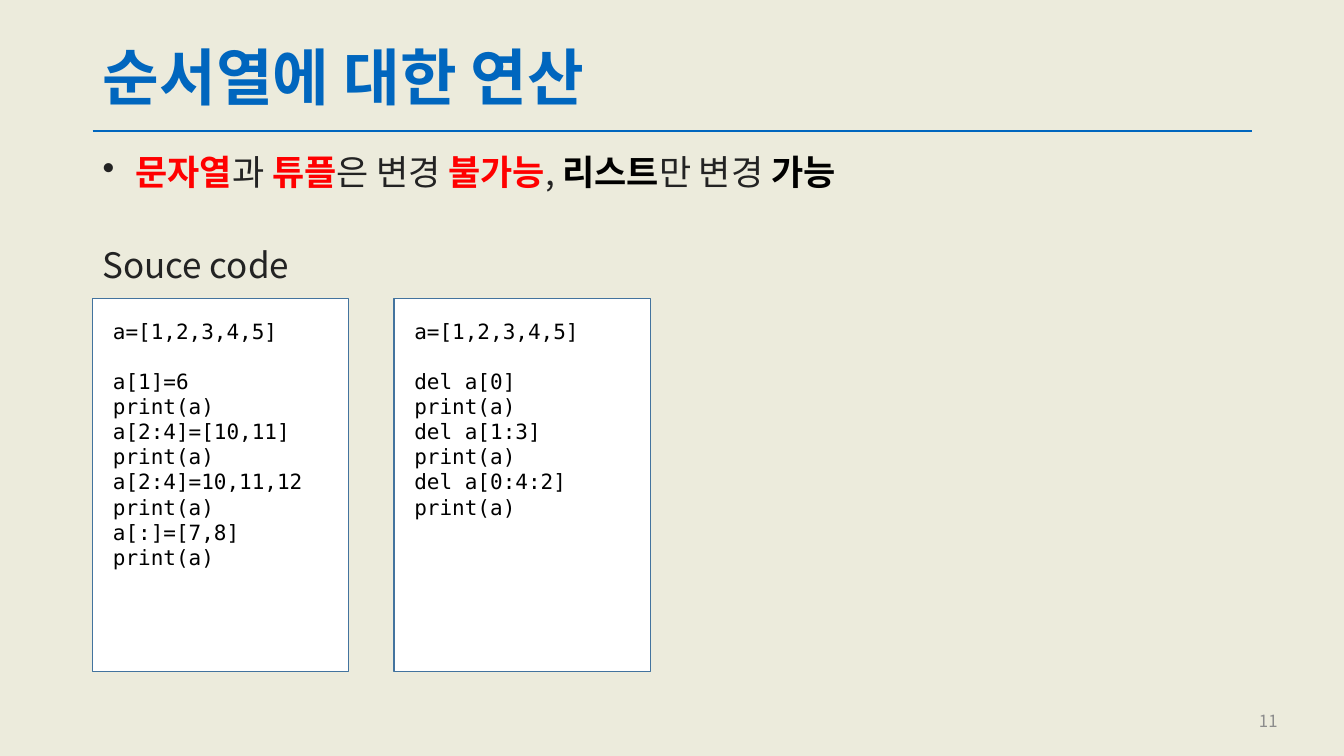
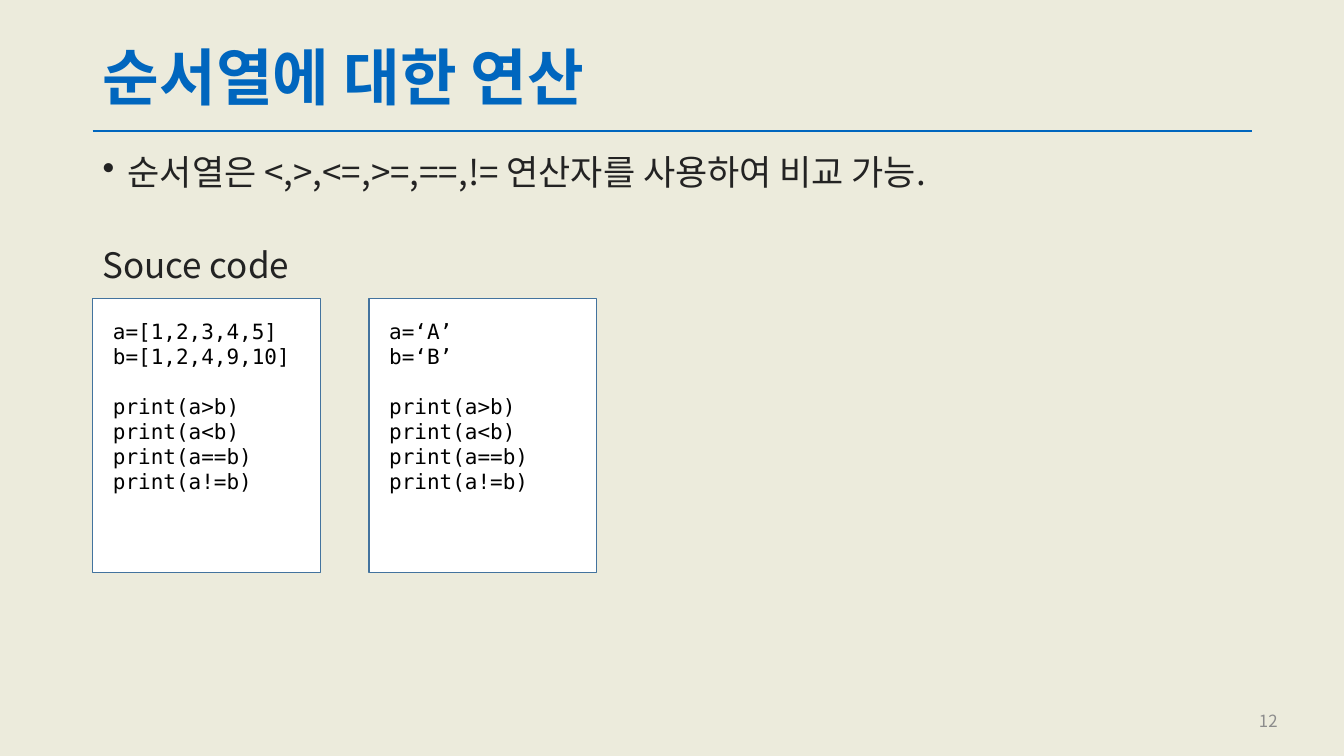
from dataclasses import dataclass
from lxml.etree import SubElement
from pptx import Presentation
from pptx.dml.color import RGBColor
from pptx.enum.shapes import MSO_CONNECTOR, MSO_SHAPE
from pptx.enum.text import MSO_ANCHOR, PP_ALIGN
from pptx.oxml.ns import qn
from pptx.util import Inches, Pt


@dataclass(frozen=True)
class Theme:
    """Colours, fonts and type sizes of the deck."""
    back: str = "ECEBDC"
    blue: str = "0066BE"
    ink: str = "232323"
    red: str = "FF0000"
    black: str = "000000"
    gray: str = "8C8C8C"
    white: str = "FFFFFF"
    edge: str = "43739E"
    sans: str = "Noto Sans CJK KR"
    mono: str = "DejaVu Sans Mono"
    head: int = 44
    body: int = 25
    code: int = 15
    foot: int = 12
    gap: float = 17.5


T = Theme()
LEFT, WIDE, TOP = 0.92, 11.5, 2.96
TITLE, LABEL = "순서열에 대한 연산", "Souce code"
TESTS = ["print(a>b)", "print(a<b)", "print(a==b)", "print(a!=b)"]

# A bullet is a list of (text, colour, bold); a code box is a list of line groups.
SLIDES = [
    {
        "page": "11",
        "bullet": [
            (" ", T.ink, False), ("문자열", T.red, True), ("과 ", T.ink, False),
            ("튜플", T.red, True), ("은 변경 ", T.ink, False),
            ("불가능", T.red, True), (", ", T.ink, False),
            ("리스트", T.black, True), ("만 변경 ", T.ink, False),
            ("가능", T.black, True),
        ],
        "size": (2.54, 3.7), "space": 0.45,
        "code": [
            [["a=[1,2,3,4,5]"],
             ["a[1]=6", "print(a)", "a[2:4]=[10,11]", "print(a)",
              "a[2:4]=10,11,12", "print(a)", "a[:]=[7,8]", "print(a)"]],
            [["a=[1,2,3,4,5]"],
             ["del a[0]", "print(a)", "del a[1:3]", "print(a)",
              "del a[0:4:2]", "print(a)"]],
        ],
    },
    {
        "page": "12",
        "bullet": [("순서열은 <,>,<=,>=,==,!= 연산자를 사용하여 비교 가능.", T.ink, False)],
        "size": (2.26, 2.72), "space": 0.48,
        "code": [
            [["a=[1,2,3,4,5]", "b=[1,2,4,9,10]"], TESTS],
            [["a=‘A’", "b=‘B’"], TESTS],
        ],
    },
]


def style(item, **values):
    """Set each named attribute on the item."""
    for name, value in values.items():
        setattr(item, name, value)


def add_run(para, text, size, color, bold=False, face=T.sans):
    """Add one run, with its font set for Latin and Korean text."""
    run = para.add_run()
    run.text = text
    style(run.font, size=Pt(size), bold=bold, name=face)
    run.font.color.rgb = RGBColor.from_string(color)
    SubElement(run.font._element, qn("a:ea"), typeface=face)


def add_text(slide, area, runs, size, anchor=MSO_ANCHOR.TOP, **form):
    """Add a one-paragraph text box and return the paragraph."""
    frame = slide.shapes.add_textbox(*map(Inches, area)).text_frame
    style(frame, word_wrap=True, vertical_anchor=anchor)
    para = frame.paragraphs[0]
    style(para, **form)
    for text, color, bold in runs:
        add_run(para, text, size, color, bold)
    return para


def add_bullet(para):
    """Give the paragraph a round bullet with a hanging indent."""
    props = para._p.get_or_add_pPr()
    props.set("marL", str(Inches(0.25)))
    props.set("indent", str(Inches(-0.25)))
    SubElement(props, qn("a:buChar"), char="•")


def add_rule(slide):
    """Draw the line under the title."""
    ends = map(Inches, (LEFT, 1.3, LEFT + WIDE, 1.3))
    rule = slide.shapes.add_connector(MSO_CONNECTOR.STRAIGHT, *ends)
    rule.line.color.rgb = RGBColor.from_string(T.blue)
    rule.line.width = Pt(1.5)
    SubElement(rule._element.spPr, qn("a:effectLst"))


def add_code(slide, area, groups):
    """Draw a code box; a gap sets each group of lines apart."""
    box = slide.shapes.add_shape(MSO_SHAPE.RECTANGLE, *map(Inches, area))
    box.shadow.inherit = False
    box.fill.solid()
    box.fill.fore_color.rgb = RGBColor.from_string(T.white)
    box.line.color.rgb = RGBColor.from_string(T.edge)
    box.line.width = Pt(1)
    frame, pad = box.text_frame, Inches(0.2)
    style(frame, word_wrap=True, vertical_anchor=MSO_ANCHOR.TOP, margin_left=pad,
          margin_right=pad, margin_top=pad, margin_bottom=pad)
    lines = [(text, part > 0 and row == 0)
             for part, group in enumerate(groups) for row, text in enumerate(group)]
    for spot, (text, apart) in enumerate(lines):
        para = frame.add_paragraph() if spot else frame.paragraphs[0]
        style(para, alignment=PP_ALIGN.LEFT, space_before=Pt(T.gap if apart else 0))
        add_run(para, text, T.code, T.black, face=T.mono)


def add_page(deck, data):
    """Build one slide from its content."""
    slide = deck.slides.add_slide(deck.slide_layouts[6])
    add_rule(slide)
    flow = {"line_spacing": 0.9, "space_before": Pt(10)}
    add_text(slide, (LEFT, 0.4, WIDE, 0.8), [(TITLE, T.blue, True)], T.head,
             MSO_ANCHOR.MIDDLE, line_spacing=0.9)
    add_bullet(add_text(slide, (LEFT, 1.49, WIDE, 0.64), data["bullet"], T.body, **flow))
    add_text(slide, (LEFT, 2.41, 2.54, 0.55), [(LABEL, T.ink, False)], T.body, **flow)
    add_text(slide, (9.77, 6.95, 3, 0.4), [(data["page"], T.gray, False)], T.foot,
             MSO_ANCHOR.MIDDLE, alignment=PP_ALIGN.RIGHT)
    wide, high = data["size"]
    for col, groups in enumerate(data["code"]):
        left = LEFT + col * (wide + data["space"])
        add_code(slide, (left, TOP, wide, high), groups)


deck = Presentation()
style(deck, slide_width=Inches(13.33), slide_height=Inches(7.5))
fill = deck.slide_master.background.fill
fill.solid()
fill.fore_color.rgb = RGBColor.from_string(T.back)
for data in SLIDES:
    add_page(deck, data)
deck.save("out.pptx")
